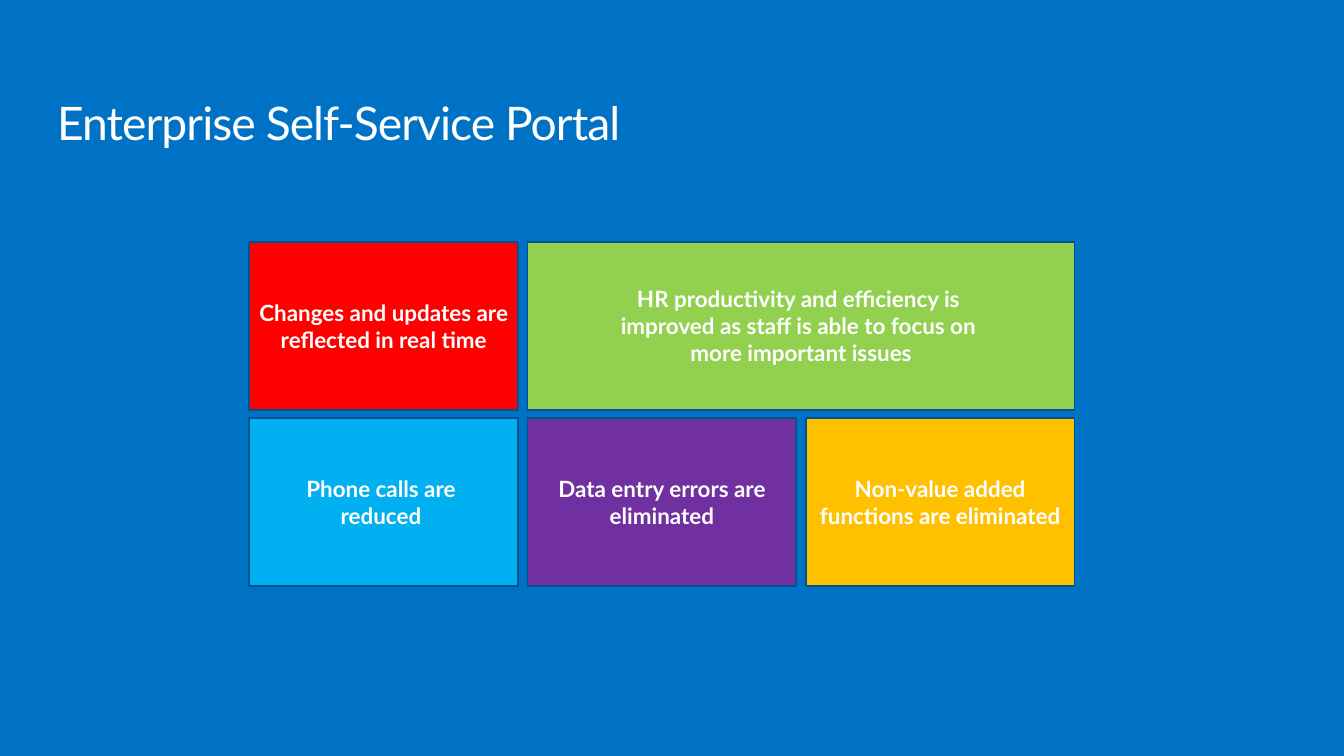
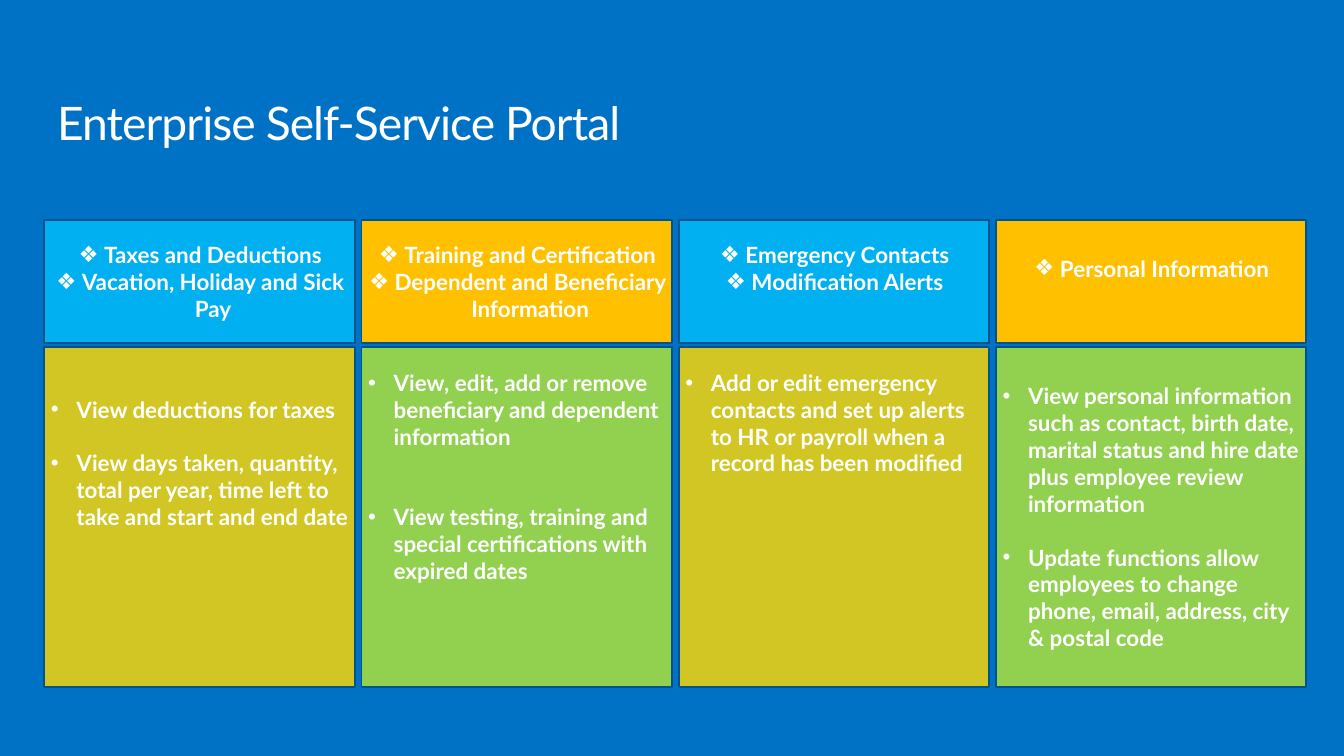
"""Build two slides on the benefits and functions of an enterprise self-service portal."""
from dataclasses import dataclass

from lxml import etree
from pptx import Presentation
from pptx.dml.color import RGBColor
from pptx.enum.shapes import MSO_SHAPE
from pptx.enum.text import MSO_ANCHOR, MSO_AUTO_SIZE, PP_ALIGN
from pptx.oxml.ns import qn
from pptx.util import Inches, Pt

RECTANGLE = MSO_SHAPE.RECTANGLE
TOP, MIDDLE = MSO_ANCHOR.TOP, MSO_ANCHOR.MIDDLE
LEFT, CENTER = PP_ALIGN.LEFT, PP_ALIGN.CENTER
GROW = MSO_AUTO_SIZE.SHAPE_TO_FIT_TEXT
TITLE_ONLY = 5


@dataclass(frozen=True)
class Theme:
    """Colours, font and type sizes of the deck."""
    background: str = "0072C6"
    text: str = "FFFFFF"
    outline: str = "00548B"
    red: str = "FF0000"
    green: str = "92D050"
    sky: str = "00B0F0"
    purple: str = "7030A0"
    amber: str = "FFC000"
    olive: str = "D2C624"
    font: str = "Lato"
    title_size: float = 49.5
    body_size: float = 24
    outline_width: float = 2
    line_height: float = 0.4


THEME = Theme()


@dataclass(frozen=True)
class Box:
    """A position and size in inches."""
    left: float
    top: float
    width: float
    height: float


@dataclass(frozen=True)
class Benefit:
    """A coloured tile in the benefits grid."""
    column: int
    row: int
    fill: str
    lines: tuple[str, ...]
    span: int = 1


@dataclass(frozen=True)
class Panel:
    """A bulleted panel, with its text lowered by a number of half lines."""
    fill: str
    items: tuple[str, ...]
    half_lines: int = 0
    gap_lines: int = 0


@dataclass(frozen=True)
class Function:
    """A portal function: topics above, details below."""
    topics: Panel
    details: Panel


TITLE = "Enterprise Self-Service Portal"
TITLE_BOX = Box(0.85, 1.5, 18.29, 0.75)
FIRST_BENEFIT = Box(3.71, 3.6, 4, 2.5)
BENEFIT_PITCH_X, BENEFIT_PITCH_Y = 4.14, 2.62
FIRST_TOPICS = Box(0.66, 3.27, 4.62, 1.83)
FIRST_DETAILS = Box(0.66, 5.17, 4.62, 5.05)
FUNCTION_PITCH = 4.72
PANEL_INSET_TOP = 0.32
BULLET_INDENT = Inches(0.38)

BENEFITS = (
    Benefit(1, 0, THEME.green, ("HR productivity and efficiency is ",
                                "improved as staff is able to focus on ",
                                "more important issues"), span=2),
    Benefit(1, 1, THEME.purple, ("Data entry errors are eliminated",)),
    Benefit(0, 1, THEME.sky, ("Phone calls are ", "reduced ")),
    Benefit(2, 1, THEME.amber, ("Non-value added functions are eliminated",)),
    Benefit(0, 0, THEME.red, ("Changes and updates are reflected in real time",)),
)

FUNCTIONS = (
    Function(
        Panel(THEME.sky, ("Taxes and Deductions", "Vacation, Holiday and Sick Pay")),
        Panel(THEME.olive, ("View deductions for taxes",
                            "View days taken, quantity, total per year, time left to "
                            "take and start and end date"), half_lines=2, gap_lines=1)),
    Function(
        Panel(THEME.amber, ("Training and Certification",
                            "Dependent and Beneficiary Information")),
        Panel(THEME.green, ("View, edit, add or remove beneficiary and dependent information",
                            "View testing, training and special certifications with "
                            "expired dates"), gap_lines=2)),
    Function(
        Panel(THEME.sky, ("Emergency Contacts", "Modification Alerts")),
        Panel(THEME.olive, ("Add or edit emergency contacts and set up alerts to HR or "
                            "payroll when a record has been modified",))),
    Function(
        Panel(THEME.amber, ("Personal Information",), half_lines=1),
        Panel(THEME.green, ("View personal information such as contact, birth date, marital "
                            "status and hire date plus employee review information",
                            "Update functions allow employees to change phone, email, "
                            "address, city & postal code"), half_lines=1, gap_lines=1)),
)


def rgb(value: str) -> RGBColor:
    """Turn a hex value into a colour."""
    return RGBColor.from_string(value)


def style_font(paragraph, size: float, bold: bool) -> None:
    """Give a paragraph the deck's font."""
    font = paragraph.font
    font.name, font.size, font.bold = THEME.font, Pt(size), bold
    font.color.rgb = rgb(THEME.text)


def add_bullet(paragraph, mark: str) -> None:
    """Give a paragraph a hanging bullet."""
    properties = paragraph._p.get_or_add_pPr()
    properties.set("marL", str(BULLET_INDENT))
    properties.set("indent", str(-BULLET_INDENT))
    colour = etree.SubElement(properties, qn("a:buClr"))
    etree.SubElement(colour, qn("a:srgbClr")).set("val", THEME.text)
    etree.SubElement(properties, qn("a:buFont")).set("typeface", "Arial")
    etree.SubElement(properties, qn("a:buChar")).set("char", mark)


def add_titled_slide(prs):
    """Add a slide with the shared title."""
    slide = prs.slides.add_slide(prs.slide_layouts[TITLE_ONLY])
    title = slide.shapes.title
    title.left, title.top = Inches(TITLE_BOX.left), Inches(TITLE_BOX.top)
    title.width, title.height = Inches(TITLE_BOX.width), Inches(TITLE_BOX.height)
    frame = title.text_frame
    frame.text = TITLE
    frame.margin_left = frame.margin_right = frame.margin_top = frame.margin_bottom = 0
    frame.vertical_anchor, frame.auto_size, frame.word_wrap = TOP, GROW, True
    heading = frame.paragraphs[0]
    heading.alignment, heading.line_spacing = LEFT, 0.9
    style_font(heading, THEME.title_size, False)
    heading._p.pPr.find(qn("a:defRPr")).set("spc", "-100")
    return slide


def add_tile(slide, box: Box, fill: str, lines: tuple[str, ...], align: PP_ALIGN,
             mark: str = "", gap_lines: int = 0):
    """Draw an outlined rectangle with text and return its text frame."""
    tile = slide.shapes.add_shape(RECTANGLE, Inches(box.left), Inches(box.top),
                                  Inches(box.width), Inches(box.height))
    tile.shadow.inherit = False
    tile.fill.solid()
    tile.fill.fore_color.rgb = rgb(fill)
    tile.line.color.rgb = rgb(THEME.outline)
    tile.line.width = Pt(THEME.outline_width)
    frame = tile.text_frame
    frame.word_wrap, frame.vertical_anchor = True, MIDDLE
    frame.text = "\n".join(lines)
    for index, paragraph in enumerate(frame.paragraphs):
        paragraph.alignment = align
        if index and gap_lines:
            paragraph.space_before = Inches(gap_lines * THEME.line_height)
        if mark:
            add_bullet(paragraph, mark)
        style_font(paragraph, THEME.body_size, True)
    return frame


def add_benefit(slide, benefit: Benefit) -> None:
    """Place a benefit on its grid cell."""
    first = FIRST_BENEFIT
    box = Box(first.left + benefit.column * BENEFIT_PITCH_X,
              first.top + benefit.row * BENEFIT_PITCH_Y,
              first.width + (benefit.span - 1) * BENEFIT_PITCH_X, first.height)
    add_tile(slide, box, benefit.fill, benefit.lines, CENTER)


def add_panel(slide, column: int, first: Box, panel: Panel, align: PP_ALIGN, mark: str) -> None:
    """Place a bulleted panel in its column."""
    box = Box(first.left + column * FUNCTION_PITCH, first.top, first.width, first.height)
    frame = add_tile(slide, box, panel.fill, panel.items, align, mark, panel.gap_lines)
    frame.vertical_anchor = TOP
    frame.margin_top = Inches(PANEL_INSET_TOP + panel.half_lines * THEME.line_height / 2)
    frame.margin_right = Inches(0.08)


def main() -> None:
    """Build and save the deck."""
    prs = Presentation()
    prs.slide_width, prs.slide_height = Inches(20), Inches(11.25)
    backdrop = prs.slide_master.background.fill
    backdrop.solid()
    backdrop.fore_color.rgb = rgb(THEME.background)

    benefits_slide = add_titled_slide(prs)
    for benefit in BENEFITS:
        add_benefit(benefits_slide, benefit)

    functions_slide = add_titled_slide(prs)
    for column, function in enumerate(FUNCTIONS):
        add_panel(functions_slide, column, FIRST_TOPICS, function.topics, CENTER, "❖")
        add_panel(functions_slide, column, FIRST_DETAILS, function.details, LEFT, "•")

    prs.save("out.pptx")


if __name__ == "__main__":
    main()
